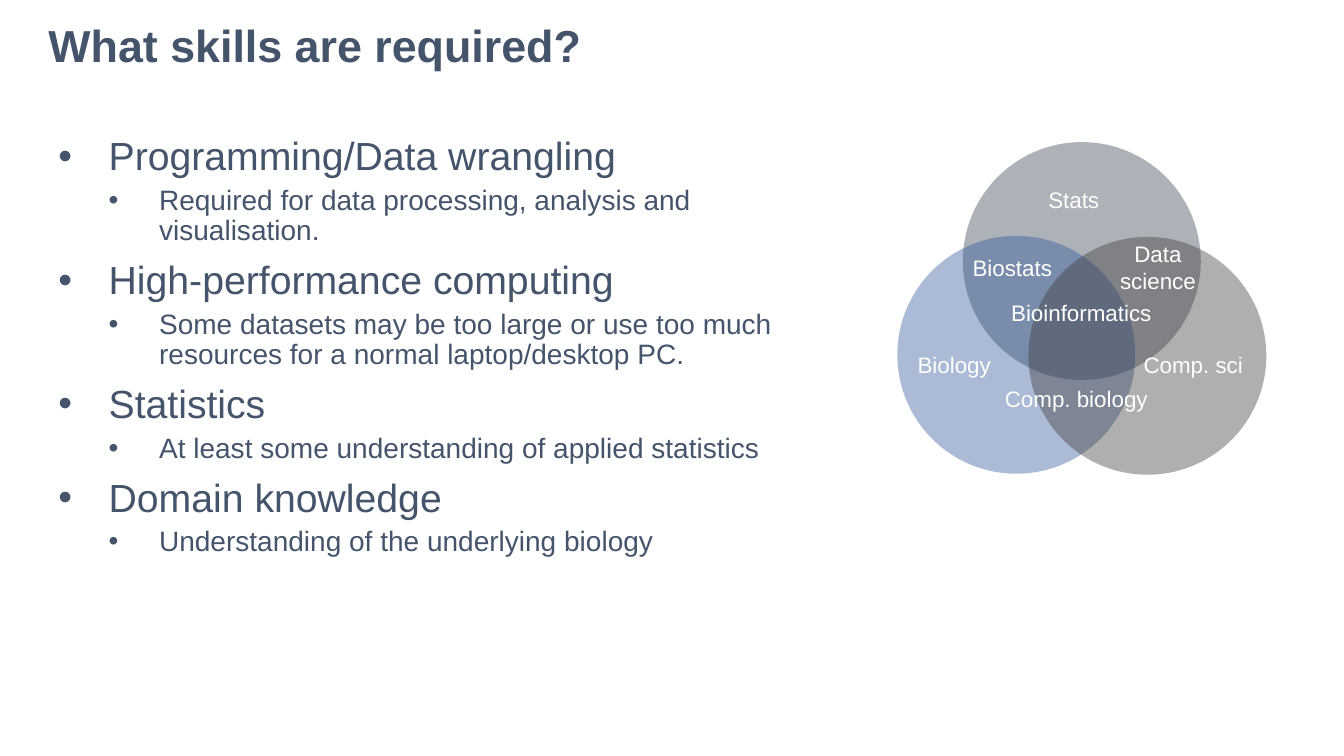
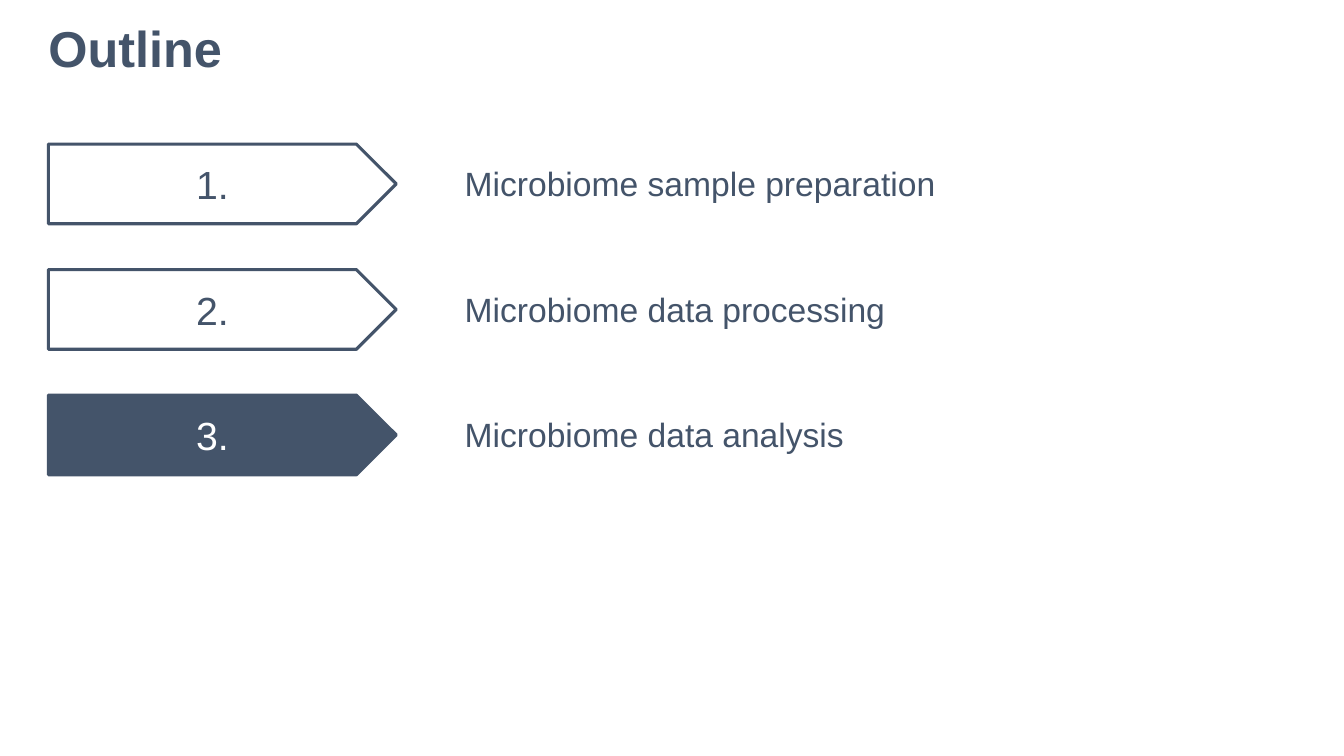
import pptx
import pptx.util
import pptx.dml.color
import pptx.enum.shapes
import pptx.enum.text
import pptx.oxml
import pptx.oxml.ns
from lxml import etree

Inches, Pt = pptx.util.Inches, pptx.util.Pt
RGB = pptx.dml.color.RGBColor.from_string
SHAPE = pptx.enum.shapes.MSO_SHAPE
CENTER = pptx.enum.text.PP_ALIGN.CENTER
LEFT = pptx.enum.text.PP_ALIGN.LEFT

COLORS = {"slate": "44546A", "white": "FFFFFF", "stats": "333F50",
          "biology": "2F5597", "computing": "3B3838"}
FONT = "Arial"
MARGIN = 0.48

deck = pptx.Presentation()
deck.slide_width, deck.slide_height = Inches(13.33), Inches(7.5)


def write(paragraph, text, size, color="slate", align=LEFT, bold=False):
    paragraph.alignment = align
    run = paragraph.add_run()
    run.text = text
    run.font.name, run.font.size, run.font.bold = FONT, Pt(size), bold
    run.font.color.rgb = RGB(COLORS[color])


def add_box(slide, left, top, width, height, inset=None):
    frame = slide.shapes.add_textbox(
        Inches(left), Inches(top), Inches(width), Inches(height)).text_frame
    frame.word_wrap = True
    if inset is not None:
        frame.margin_left = frame.margin_right = Inches(inset)
        frame.margin_top = frame.margin_bottom = Inches(inset)
    return frame


# Both slides with their titles
slides = []
for title, size in [("What skills are required?", 32), ("Outline", 36)]:
    slide = deck.slides.add_slide(deck.slide_layouts[6])
    heading = add_box(slide, MARGIN, 0.24, 12.02, 0.87, inset=0).paragraphs[0]
    heading.line_spacing = 0.9
    write(heading, title, size, bold=True)
    slides.append(slide)
skills_slide, outline_slide = slides

# Skills: each topic with one explanation below it
skills = [
    ("Programming/Data wrangling",
     "Required for data processing, analysis and visualisation."),
    ("High-performance computing",
     "Some datasets may be too large or use too much resources "
     "for a normal laptop/desktop PC."),
    ("Statistics", "At least some understanding of applied statistics"),
    ("Domain knowledge", "Understanding of the underlying biology"),
]
skill_list = add_box(skills_slide, MARGIN, 1.31, 7.8, 4.92)
for number, skill in enumerate(skills):
    for level, text in enumerate(skill):
        first = number == 0 and level == 0
        item = skill_list.paragraphs[0] if first else skill_list.add_paragraph()
        item.level = level
        item.line_spacing = 0.9
        if not first:
            item.space_before = Pt((10, 5)[level])
        properties = item._p.get_or_add_pPr()
        properties.set("marL", str(Inches(0.5 * (level + 1))))
        properties.set("indent", str(Inches(-0.5)))
        etree.SubElement(properties, pptx.oxml.ns.qn("a:buFont"), typeface=FONT)
        etree.SubElement(properties, pptx.oxml.ns.qn("a:buChar"), char="•")
        write(item, text, (28, 20)[level])

# Venn diagram: three translucent circles
DIAMETER = 2.36
for field, left, top in [("stats", 9.55, 1.41), ("biology", 8.9, 2.34),
                         ("computing", 10.2, 2.35)]:
    circle = skills_slide.shapes.add_shape(
        SHAPE.OVAL, Inches(left), Inches(top), Inches(DIAMETER), Inches(DIAMETER))
    circle.shadow.inherit = False
    circle.line.fill.background()
    circle.fill.solid()
    circle.fill.fore_color.rgb = RGB(COLORS[field])
    tint = circle._element.spPr.find(".//" + pptx.oxml.ns.qn("a:srgbClr"))
    etree.SubElement(tint, pptx.oxml.ns.qn("a:alpha"), val="40000")

# Venn labels, one paragraph per line
for lines, left, top, width in [
        (["Stats"], 9.96, 1.8, 1.38),
        (["Biostats"], 9.35, 2.47, 1.38),
        (["Bioinformatics"], 9.89, 2.92, 1.67),
        (["Comp. biology"], 9.84, 3.77, 1.67),
        (["Biology"], 8.63, 3.43, 1.67),
        (["Comp. sci"], 11, 3.43, 1.67),
        (["Data", "science"], 10.65, 2.33, 1.67)]:
    label = add_box(skills_slide, left, top, width, 0.1 + 0.27 * len(lines))
    for index, line in enumerate(lines):
        paragraph = label.add_paragraph() if index else label.paragraphs[0]
        write(paragraph, line, 16, "white", CENTER)

# Outline: numbered arrows, the current part filled
parts = ["Microbiome sample preparation", "Microbiome data processing",
         "Microbiome data analysis"]
CURRENT = 3
for number, part in enumerate(parts, start=1):
    top = 1.43 + 1.245 * (number - 1)
    fill, ink = ("slate", "white") if number == CURRENT else ("white", "slate")
    arrow = outline_slide.shapes.add_shape(
        SHAPE.PENTAGON, Inches(MARGIN), Inches(top), Inches(3.45), Inches(0.79))
    arrow.shadow.inherit = False
    arrow.fill.solid()
    arrow.fill.fore_color.rgb = RGB(COLORS[fill])
    arrow.line.color.rgb = RGB(COLORS["slate"])
    arrow.line.width = Pt(2.25)
    arrow.text_frame.vertical_anchor = pptx.enum.text.MSO_ANCHOR.MIDDLE
    write(arrow.text_frame.paragraphs[0], f"{number}.", 28, ink, CENTER)
    caption = add_box(outline_slide, 4.51, top + 0.14, 7.57, 0.5)
    write(caption.paragraphs[0], part, 24)

deck.save("out.pptx")
